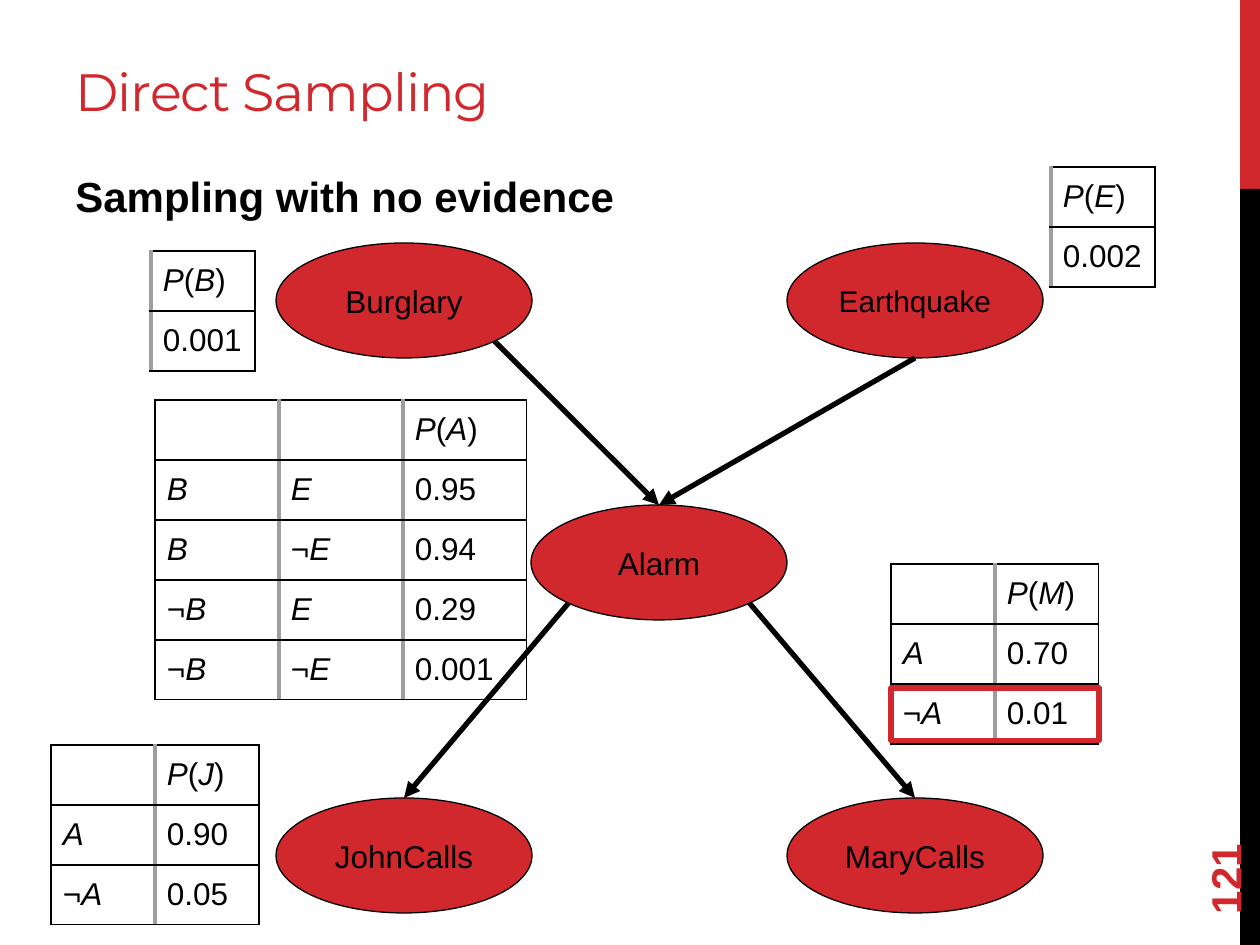
from dataclasses import dataclass
from itertools import groupby
from math import sqrt

from lxml import etree
from pptx import Presentation, util as u
from pptx.dml import color
from pptx.enum import shapes as kinds, text
from pptx.oxml import ns


@dataclass(frozen=True)
class Theme:
    red: str = "D1282E"
    black: str = "000000"
    gray: str = "9E9E9E"
    font: str = "Arial"
    head: str = "Montserrat"
    title: int = 30
    large: int = 24
    body: int = 18
    small: int = 17
    thin: float = 0.75
    rule: float = 1.5
    thick: float = 3


T = Theme()
SCALE = u.Inches(1) / 126
NODE_W, NODE_H = 256, 115
ROW_H = 60


def px(n):
    return u.Emu(round(n * SCALE))


def rgb(code):
    return color.RGBColor.from_string(code)


def add_run(para, words, size, tint=T.black, font=T.font, bold=False, italic=False):
    run = para.add_run()
    run.text = words
    face = run.font
    face.name, face.size = font, u.Pt(size)
    face.bold, face.italic = bold, italic
    face.color.rgb = rgb(tint)
    return run


def add_title(slide, words):
    title = slide.shapes.title
    title.left, title.top, title.width, title.height = map(px, (63, 21, 1114, 107))
    frame = title.text_frame
    frame.auto_size = text.MSO_AUTO_SIZE.NONE
    frame.vertical_anchor = text.MSO_ANCHOR.BOTTOM
    para = frame.paragraphs[0]
    para.alignment = text.PP_ALIGN.LEFT
    run = add_run(para, words, T.title, T.red, T.head)
    run.font._element.set("spc", "-60")


def add_label(slide, box, words, tint=T.black, turn=0, anchor=text.MSO_ANCHOR.TOP):
    label = slide.shapes.add_textbox(*map(px, box))
    label.rotation = turn
    frame = label.text_frame
    frame.word_wrap = True
    frame.vertical_anchor = anchor
    add_run(frame.paragraphs[0], words, T.large, tint, bold=True)


def add_form(slide, kind, box, fill=None, line=None, width=T.thin):
    form = slide.shapes.add_shape(kind, *map(px, box))
    form.shadow.inherit = False
    if fill:
        form.fill.solid()
        form.fill.fore_color.rgb = rgb(fill)
    else:
        form.fill.background()
    if line:
        form.line.color.rgb = rgb(line)
        form.line.width = u.Pt(width)
    else:
        form.line.fill.background()
    return form


def add_node(slide, left, top, words, size=T.body):
    node = add_form(slide, kinds.MSO_SHAPE.OVAL, (left, top, NODE_W, NODE_H), T.red, T.black)
    frame = node.text_frame
    frame.margin_left = frame.margin_right = frame.margin_top = frame.margin_bottom = u.Inches(0.1)
    frame.vertical_anchor = text.MSO_ANCHOR.MIDDLE
    para = frame.paragraphs[0]
    para.alignment = text.PP_ALIGN.CENTER
    add_run(para, words, size)


def rim(spot, across, down):
    left, top = spot
    reach = 1 / sqrt(across ** 2 + down ** 2)
    return (left + NODE_W / 2 * (1 + across * reach),
            top + NODE_H / 2 * (1 + down * reach))


def add_arrow(slide, start, end):
    arrow = slide.shapes.add_connector(
        kinds.MSO_CONNECTOR.STRAIGHT, *map(px, start + end))
    arrow.line.color.rgb = rgb(T.black)
    arrow.line.width = u.Pt(T.thick)
    etree.SubElement(arrow.line._get_or_add_ln(), ns.qn("a:tailEnd"), type="triangle")
    etree.SubElement(arrow._element.spPr, ns.qn("a:effectLst"))


def add_border(cell, side, tint, width):
    line = etree.SubElement(cell._tc.get_or_add_tcPr(), ns.qn(f"a:ln{side}"),
                            w=str(u.Pt(width)))
    fill = etree.SubElement(line, ns.qn("a:solidFill"))
    etree.SubElement(fill, ns.qn("a:srgbClr"), val=tint)


def add_table(slide, left, top, wide, rows):
    high, cols = len(rows), len(rows[0])
    frame = slide.shapes.add_table(
        high, cols, *map(px, (left, top, wide * cols, ROW_H * high)))
    table = frame.table
    table.first_row = table.horz_banding = False
    for col in table.columns:
        col.width = px(wide)
    edge, bar = (T.black, T.thin), (T.gray, T.thick)
    rule = (T.black, T.rule)
    for r, row in enumerate(rows):
        table.rows[r].height = px(ROW_H)
        for c, words in enumerate(row):
            cell = table.cell(r, c)
            cell.margin_left, cell.margin_right = px(12), px(4)
            cell.margin_top, cell.margin_bottom = px(12), px(8)
            add_border(cell, "L", *(bar if c or cols == 1 else edge))
            add_border(cell, "R", *(bar if c < cols - 1 else edge))
            add_border(cell, "T", *(rule if r else edge))
            add_border(cell, "B", *(rule if r < high - 1 else edge))
            cell.fill.background()
            para = cell.text_frame.paragraphs[0]
            para.font.size = u.Pt(T.body)
            for slant, part in groupby(words, lambda s: s.isalpha() or s == "¬"):
                add_run(para, "".join(part), T.body, italic=slant)


def main():
    deck = Presentation()
    deck.slide_width, deck.slide_height = px(1260), px(945)
    slide = deck.slides.add_slide(deck.slide_layouts[5])
    rect = kinds.MSO_SHAPE.RECTANGLE

    add_form(slide, rect, (1240, 0, 20, 189), T.red)
    add_form(slide, rect, (1240, 189, 20, 756), T.black)
    add_title(slide, "Direct Sampling")
    add_label(slide, (1134, 811, 181, 50), "121", T.red, 270, text.MSO_ANCHOR.MIDDLE)
    add_label(slide, (63, 164, 960, 60), "Sampling with no evidence")

    thief, quake, alarm = (276, 243), (787, 243), (531, 505)
    john, mary = (276, 798), (787, 798)
    add_node(slide, *thief, "Burglary")
    add_node(slide, *quake, "Earthquake", T.small)
    add_node(slide, *alarm, "Alarm")
    add_node(slide, *john, "JohnCalls")
    add_node(slide, *mary, "MaryCalls")

    add_arrow(slide, rim(thief, 1, 1), rim(alarm, 0, -1))
    add_arrow(slide, rim(quake, 0, 1), rim(alarm, 0, -1))
    add_arrow(slide, rim(alarm, -1, 1), rim(john, 0, -1))
    add_arrow(slide, rim(alarm, 1, 1), rim(mary, 0, -1))

    add_table(slide, 155, 400, 124, [
        ("", "", "P(A)"),
        ("B", "E", "0.95"),
        ("B", "¬E", "0.94"),
        ("¬B", "E", "0.29"),
        ("¬B", "¬E", "0.001"),
    ])
    add_table(slide, 1051, 167, 104, [("P(E)",), ("0.002",)])
    add_table(slide, 151, 251, 104, [("P(B)",), ("0.001",)])
    add_table(slide, 51, 745, 104, [("", "P(J)"), ("A", "0.90"), ("¬A", "0.05")])
    add_table(slide, 891, 564, 104, [("", "P(M)"), ("A", "0.70"), ("¬A", "0.01")])
    add_form(slide, rect, (891, 688, 208, 53), line=T.red, width=T.thick)

    deck.save("out.pptx")


if __name__ == "__main__":
    main()
